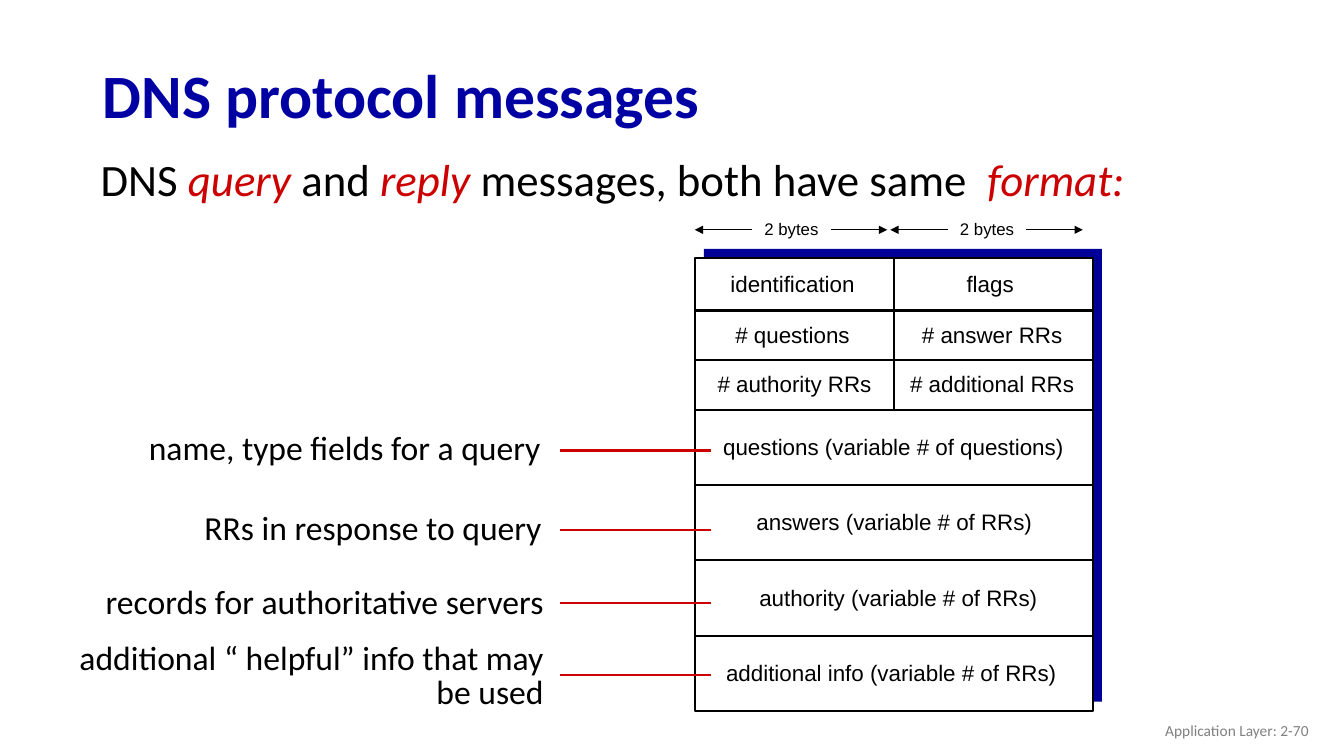
from itertools import accumulate
from lxml.etree import SubElement
from pptx import Presentation
from pptx.dml.color import RGBColor
from pptx.enum.shapes import MSO_CONNECTOR, MSO_SHAPE
from pptx.enum.text import MSO_ANCHOR as Anchor, PP_ALIGN as Align
from pptx.oxml.ns import qn
from pptx.util import Emu, Pt

SCALE = 9144  # 100 px to the inch
BLACK = RGBColor(0x00, 0x00, 0x00)
WHITE = RGBColor(0xFF, 0xFF, 0xFF)
GRAY = RGBColor(0x80, 0x80, 0x80)
RED = RGBColor(0xCC, 0x00, 0x00)
NAVY = RGBColor(0x00, 0x00, 0x99)
BLUE = RGBColor(0x00, 0x00, 0xA3)


def px(*nums):
    return [Emu(round(num * SCALE)) for num in nums]


def write(frame, text, size=16, font="Calibri", color=BLACK, bold=False,
          align=Align.LEFT, anchor=Anchor.MIDDLE, wrap=True, lead=1.0, before=0):
    """Fill a frame with a string, or with (string, accented) runs."""
    frame.word_wrap = wrap
    frame.vertical_anchor = anchor
    para = frame.paragraphs[0]
    para.alignment, para.line_spacing = align, lead
    para.space_before = Pt(before)
    for part, accent in [(text, False)] if isinstance(text, str) else text:
        run = para.add_run()
        run.text = part
        run.font.size, run.font.name = Pt(size), font
        run.font.bold, run.font.italic = bold, accent
        run.font.color.rgb = RED if accent else color


def label(slide, box, text, **style):
    write(slide.shapes.add_textbox(*px(*box)).text_frame, text, **style)


def line(slide, ends, color=BLACK, width=1.5, arrow=False):
    link = slide.shapes.add_connector(MSO_CONNECTOR.STRAIGHT, *px(*ends))
    link.line.color.rgb, link.line.width = color, Pt(width)
    if arrow:
        SubElement(link.line._get_or_add_ln(), qn("a:tailEnd"), type="triangle")
    SubElement(link._element.spPr, qn("a:effectLst"))
    return link


def panel(slide, box, fill, edge=None):
    rect = slide.shapes.add_shape(MSO_SHAPE.RECTANGLE, *px(*box))
    rect.shadow.inherit = False
    rect.fill.solid()
    rect.fill.fore_color.rgb = fill
    if edge is None:
        rect.line.fill.background()
    else:
        rect.line.color.rgb, rect.line.width = edge, Pt(1.5)
    return rect


def heading(slide, box):
    title = slide.shapes.title
    title.left, title.top, title.width, title.height = px(*box)
    write(title.text_frame, "DNS protocol messages", size=44, color=BLUE,
          bold=True, lead=0.9)


def intro(slide, box):
    runs = [("DNS ", False), ("query ", True), ("and ", False), ("reply", True),
            (" messages, both have same  ", False), ("format:", True)]
    label(slide, box, runs, size=32, anchor=Anchor.TOP, lead=0.9, before=10)


def ruler(slide, box):
    """One '2 bytes' mark with an arrow out to each side."""
    left, top, width, height = box
    mid = top + height / 2
    label(slide, (left + 59, top, 74, height - 2), "2 bytes", size=12,
          font="Arial", align=Align.CENTER, wrap=False)
    line(slide, (left + 57, mid, left, mid), width=0.75, arrow=True)
    line(slide, (left + 135, mid, left + width, mid), width=0.75, arrow=True)


def message(slide, box):
    """Rows of the message; each field has its text centre from the left."""
    rows = [
        (52, [("identification", 97), ("flags", 293)]),
        (49, [("# questions", 97), ("# answer RRs", 295)]),
        (50, [("# authority RRs", 99), ("# additional RRs", 295)]),
        (74, [("questions (variable # of questions)", 197)]),
        (75, [("answers (variable # of RRs)", 198)]),
        (75, [("authority (variable # of RRs)", 202)]),
        (74, [("additional info (variable # of RRs)", 195)]),
    ]
    left, top, width, height = box
    panel(slide, (left + 9, top - 9, width, height), NAVY)
    frame = panel(slide, box, WHITE, BLACK)

    # Column divider and row lines
    edges = list(accumulate((high for high, _ in rows), initial=top))
    mid = left + width / 2
    split = line(slide, (mid, top, mid, edges[3]))
    split.begin_connect(frame, 0)
    for edge in edges[1:-1]:
        line(slide, (left - 1, edge, left + width + 1, edge))

    # Field names
    for edge, (high, fields) in zip(edges, rows):
        wide = width / len(fields)
        for text, mid in fields:
            label(slide, (left + mid - wide / 2, edge - 1, wide, high), text,
                  font="Arial", align=Align.CENTER, wrap=False)


def notes(slide, box):
    """Right-aligned remarks, each with a red line into its row."""
    left, top, width, _ = box
    # Text, middle of text, middle of line, shift to the right
    items = [
        ("name, type fields for a query", 22, 22, -3),
        ("RRs in response to query", 101, 101, -2),
        ("records for authoritative servers", 174, 173, 0),
        ("additional “ helpful” info that may be used", 247, 245, 0),
    ]
    start = left + width + 6
    for text, mid, level, shift in items:
        label(slide, (left + shift, top + mid - 39, width, 78), text, size=24,
              align=Align.RIGHT, lead=0.85)
        line(slide, (start, top + level, start + 150, top + level), RED)


def footer(slide, box):
    label(slide, box, "Application Layer: 2-70", size=11, color=GRAY,
          align=Align.RIGHT)


def main():
    deck = Presentation()
    deck.slide_width, deck.slide_height = px(1333, 750)
    slide = deck.slides.add_slide(deck.slide_layouts[5])
    heading(slide, (92, 49, 1150, 98))
    intro(slide, (90, 152, 1123, 56))
    for left in (689, 883):
        ruler(slide, (left, 212, 191, 32))
    message(slide, (689, 256, 395, 449))
    notes(slide, (44, 425, 505, 287))
    footer(slide, (1008, 705, 300, 40))
    deck.save("out.pptx")


if __name__ == "__main__":
    main()
